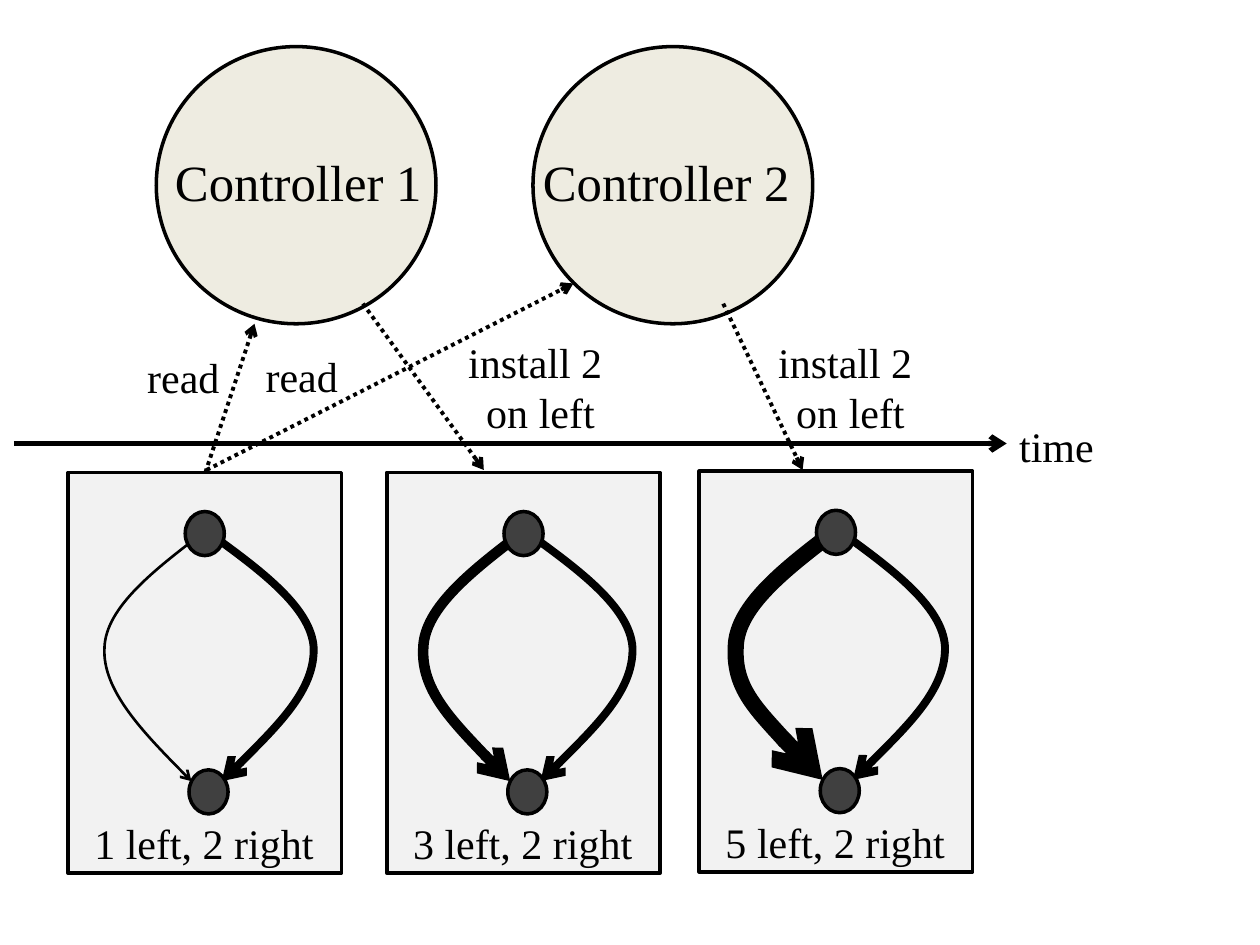
from lxml.etree import SubElement as Sub
from pptx import Presentation
from pptx.dml.color import RGBColor as RGB
from pptx.enum.dml import MSO_LINE as DASH
from pptx.enum.shapes import MSO_CONNECTOR as CONN, MSO_SHAPE as KIND
from pptx.enum.text import MSO_AUTO_SIZE as AUTO, PP_ALIGN as ALIGN
from pptx.oxml.ns import qn
from pptx.util import Inches, Pt

INK = {"line": "000000", "disc": "EEECE1", "panel": "F2F2F2", "node": "404040"}

deck = Presentation()
deck.slide_width, deck.slide_height = Inches(10), Inches(7.5)
col, row = deck.slide_width / 10, deck.slide_height / 7.5
slide = deck.slides.add_slide(deck.slide_layouts[6])
shapes = slide.shapes


def grid(*spots):
    return [(round(x * col), round(y * row)) for x, y in spots]


def write(text, x, y, w, h, size=24, align=ALIGN.LEFT):
    (left, top), (wide, high) = grid((x, y), (w, h))
    frame = shapes.add_textbox(left, top, wide, high).text_frame
    frame.word_wrap = False
    frame.auto_size = AUTO.SHAPE_TO_FIT_TEXT
    frame.text = text
    for para in frame.paragraphs:
        para.alignment = align
        font = para.runs[0].font
        font.name, font.size = "Times New Roman", Pt(size)
        font.color.rgb = RGB.from_string(INK["line"])


solids = []
strokes = []

panels = [(0.54, 3.75, "1 left, 2 right", 1.5),
          (3.07, 3.75, "3 left, 2 right", 6),
          (5.55, 3.74, "5 left, 2 right", 9.25)]
bends = {
    "left": [(1.07, 0.48), (0.69, 0.77), (0.3, 1.07), (0.29, 1.39),
             (0.27, 1.72), (0.62, 2.09), (0.98, 2.45)],
    "right": [(1.12, 0.48), (1.52, 0.77), (1.93, 1.07), (1.95, 1.39),
              (1.96, 1.72), (1.59, 2.09), (1.22, 2.45)],
}

for x, name in [(1.24, "Controller 1"), (4.23, "Controller 2")]:
    solids.append((KIND.OVAL, x, 0.37, 2.22, 2.2, "disc"))
for x, y, label, weight in panels:
    solids.append((KIND.RECTANGLE, x, y, 2.17, 3.18, "panel"))


def paint(kind, x, y, w, h, ink):
    (left, top), (wide, high) = grid((x, y), (w, h))
    item = shapes.add_shape(kind, left, top, wide, high)
    item.shadow.inherit = False
    item.fill.solid()
    item.fill.fore_color.rgb = RGB.from_string(INK[ink])
    item.line.color.rgb = RGB.from_string(INK["line"])
    item.line.width = Pt(2)


for solid in solids:
    paint(*solid)

for x, y, label, weight in panels:
    for side, width in [("left", weight), ("right", 4.5)]:
        start, *rest = grid(*[(x + dx, y + dy) for dx, dy in bends[side]])
        pen = shapes.build_freeform(*start)
        pen.add_line_segments(rest, close=False)
        curve = pen.convert_to_shape()
        curve.shadow.inherit = False
        curve.fill.background()
        track = curve._element.spPr.find(".//" + qn("a:path"))
        steps = track.findall(qn("a:lnTo"))
        for i in range(0, len(steps), 3):
            cubic = Sub(track, qn("a:cubicBezTo"))
            for step in steps[i:i + 3]:
                cubic.append(step[0])
                track.remove(step)
        strokes.append((curve, width, None))
    for dx, dy in [(0.96, 2.36), (0.93, 0.31)]:
        paint(KIND.OVAL, x + dx, y + dy, 0.31, 0.35, "node")
    write(label, x + 0.11, y + 2.69, 1.96, 0.5)

for start, end, width, dash in [
    ((0.11, 3.52), (7.99, 3.52), 3, None),
    ((1.63, 3.75), (2.02, 2.57), 2.25, DASH.ROUND_DOT),
    ((1.64, 3.73), (4.55, 2.25), 2.25, DASH.ROUND_DOT),
    ((2.88, 2.41), (3.84, 3.73), 2.25, DASH.ROUND_DOT),
    ((5.74, 2.41), (6.37, 3.73), 2.25, DASH.ROUND_DOT),
]:
    (x1, y1), (x2, y2) = grid(start, end)
    link = shapes.add_connector(CONN.STRAIGHT, x1, y1, x2, y2)
    strokes.append((link, width, dash))

for item, width, dash in strokes:
    item.line.color.rgb = RGB.from_string(INK["line"])
    item.line.width = Pt(width)
    if dash:
        item.line.dash_style = dash
    Sub(item.line._get_or_add_ln(), qn("a:tailEnd"), type="arrow")
    props = item._element.spPr
    if props.find(qn("a:effectLst")) is None:
        Sub(props, qn("a:effectLst"))

write("Controller 1", 1.29, 1.15, 2.18, 0.59, size=29)
write("Controller 2", 4.21, 1.15, 2.18, 0.59, size=29)
write("time", 7.99, 3.29, 0.8, 0.5)
write("read", 1.07, 2.74, 0.78, 0.5)
write("read", 2.01, 2.73, 0.78, 0.56)
for x in (3.61, 6.07):
    write("install 2 \non left", x, 2.62, 1.36, 0.91, align=ALIGN.CENTER)

deck.save("out.pptx")
